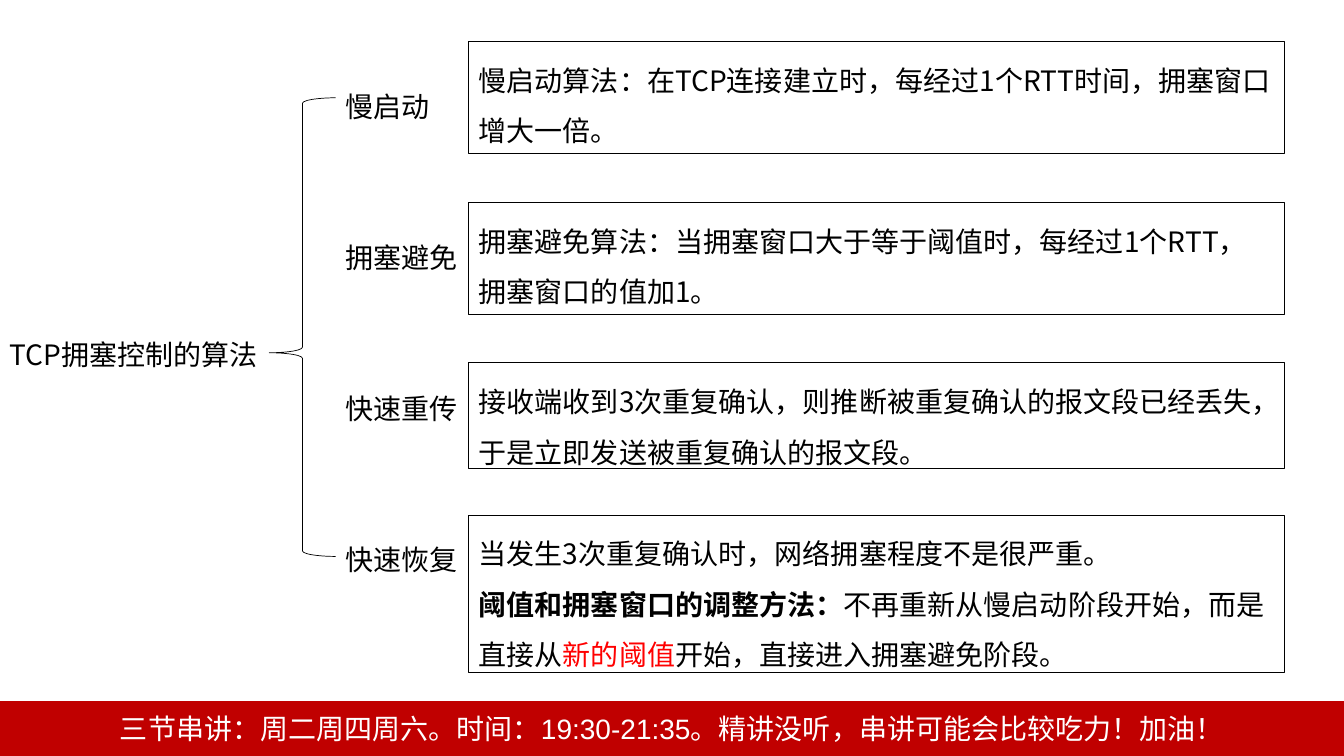
from lxml import etree
from pptx import Presentation
from pptx.dml.color import RGBColor
from pptx.enum.shapes import MSO_SHAPE
from pptx.enum.text import MSO_ANCHOR, PP_ALIGN
from pptx.oxml.ns import qn
from pptx.util import Inches, Pt

BLACK = RGBColor(0x00, 0x00, 0x00)
WHITE = RGBColor(0xFF, 0xFF, 0xFF)
RED = RGBColor(0xFF, 0x00, 0x00)
DARK_RED = RGBColor(0xC0, 0x00, 0x00)
RECTANGLE, LEFT_BRACE = MSO_SHAPE.RECTANGLE, MSO_SHAPE.LEFT_BRACE
TOP, MIDDLE = MSO_ANCHOR.TOP, MSO_ANCHOR.MIDDLE
LEFT, CENTER = PP_ALIGN.LEFT, PP_ALIGN.CENTER
FONT = "Noto Sans CJK SC"


def write(frame, paragraphs, gap=0):
    """Fill a frame with paragraphs, each a list of (text, font format) runs."""
    frame.word_wrap = True
    frame.vertical_anchor = TOP
    for index, runs in enumerate(paragraphs):
        paragraph = frame.add_paragraph() if index else frame.paragraphs[0]
        paragraph.alignment = LEFT
        paragraph.line_spacing = 1.5
        if index:
            paragraph.space_before = Pt(gap)
        for text, changes in runs:
            run = paragraph.add_run()
            run.text = text
            look = {"name": FONT, "size": Pt(20), "color": BLACK, **changes}
            run.font.color.rgb = look.pop("color")
            for attribute, value in look.items():
                setattr(run.font, attribute, value)
            east_asian = etree.SubElement(run.font._element, qn("a:ea"))
            east_asian.set("typeface", FONT)


def add_outline(kind, left, top, width, height, color, weight):
    shape = slide.shapes.add_shape(
        kind, Inches(left), Inches(top), Inches(width), Inches(height))
    shape.shadow.inherit = False
    shape.fill.background()
    shape.line.color.rgb = color
    shape.line.width = Pt(weight)
    return shape


deck = Presentation()
deck.slide_width, deck.slide_height = Inches(13.33), Inches(7.5)
slide = deck.slides.add_slide(deck.slide_layouts[6])

# Schedule banner
banner = add_outline(RECTANGLE, 0, 6.96, 13.33, 0.54, DARK_RED, 1)
banner.fill.solid()
banner.fill.fore_color.rgb = DARK_RED
banner.text_frame.vertical_anchor = MIDDLE
notice = banner.text_frame.paragraphs[0]
notice.text = "三节串讲：周二周四周六。时间：19:30-21:35。精讲没听，串讲可能会比较吃力！加油！"
notice.alignment = CENTER
notice.font.name = "Arial"
notice.font.size = Pt(20)
notice.font.color.rgb = WHITE

# Topic, brace and the four algorithm names
topic = slide.shapes.add_textbox(Inches(0), Inches(3.13), Inches(2.67), Inches(0.55))
write(topic.text_frame, [[("TCP拥塞控制的算法", {})]])

brace = add_outline(LEFT_BRACE, 2.67, 0.97, 0.66, 4.55, BLACK, 0.5)
brace.adjustments[0] = 0.083
brace.adjustments[1] = 0.556

algorithms = ["慢启动", "拥塞避免", "快速重传", "快速恢复"]
names = slide.shapes.add_textbox(Inches(3.33), Inches(0.67), Inches(3.69), Inches(5.15))
write(names.text_frame, [[(name, {})] for name in algorithms], gap=72)

# Explanations: top, height, paragraphs
explanations = [
    (0.41, 1.11, [[("慢启动算法：在TCP连接建立时，每经过1个RTT时间，拥塞窗口增大一倍。", {})]]),
    (2.01, 1.11, [[("拥塞避免算法：当拥塞窗口大于等于阈值时，每经过1个RTT，拥塞窗口的值加1。", {})]]),
    (3.6, 1.05, [[("接收端收到3次重复确认，则推断被重复确认的报文段已经丢失，"
                   "于是立即发送被重复确认的报文段。", {})]]),
    (5.11, 1.56, [
        [("当发生3次重复确认时，网络拥塞程度不是很严重。", {})],
        [("阈值和拥塞窗口的调整方法：", {"bold": True}),
         ("不再重新从慢启动阶段开始，而是直接从", {}),
         ("新的阈值", {"color": RED}),
         ("开始，直接进入拥塞避免阶段。", {})],
    ]),
]
for top, height, paragraphs in explanations:
    box = add_outline(RECTANGLE, 4.65, top, 8.09, height, BLACK, 0.75)
    write(box.text_frame, paragraphs)

deck.save("out.pptx")
